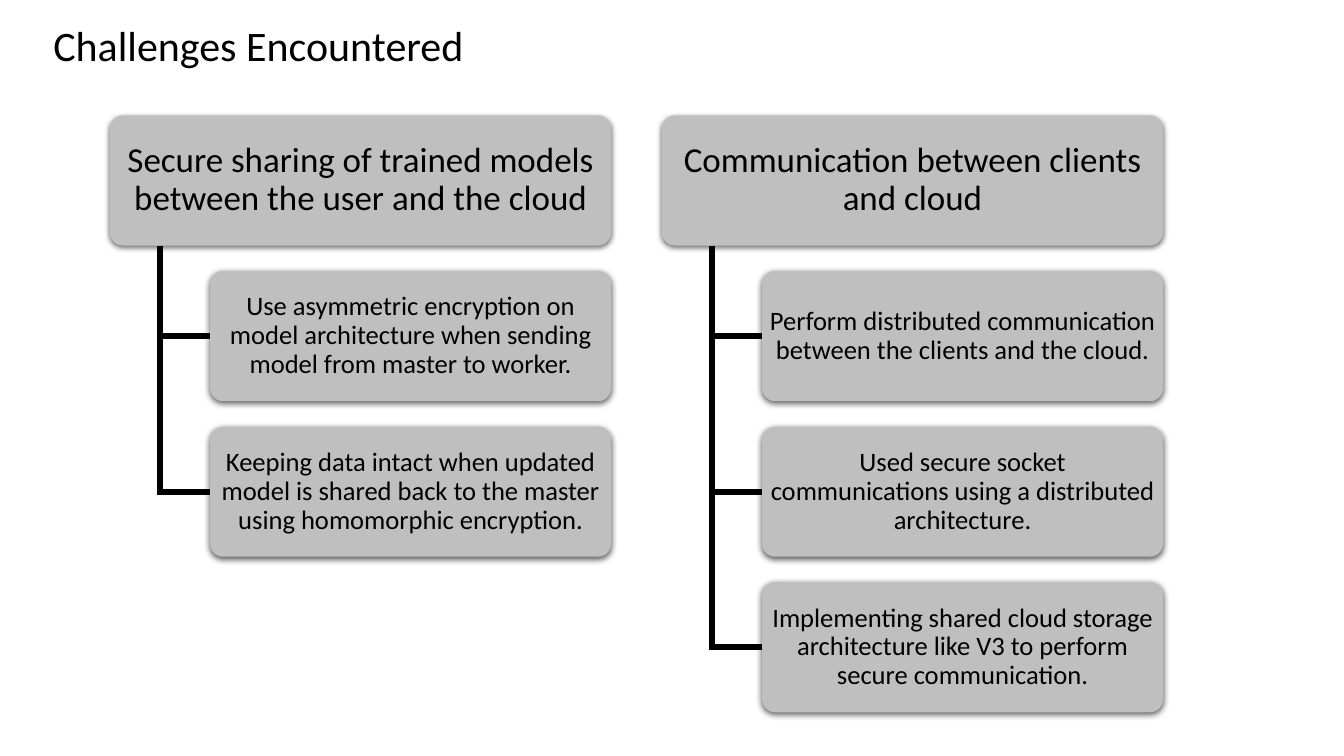
from lxml import etree
from pptx import Presentation
from pptx.dml.color import RGBColor
from pptx.enum.shapes import MSO_SHAPE
from pptx.enum.text import MSO_ANCHOR, MSO_AUTO_SIZE, PP_ALIGN
from pptx.oxml import parse_xml
from pptx.oxml.ns import nsdecls, qn
from pptx.util import Cm, Pt

ROUND = MSO_SHAPE.ROUNDED_RECTANGLE
MIDDLE = MSO_ANCHOR.MIDDLE
CENTER = PP_ALIGN.CENTER
GROW = MSO_AUTO_SIZE.SHAPE_TO_FIT_TEXT
BLACK = RGBColor(0x00, 0x00, 0x00)
GREY = RGBColor(0xBF, 0xBF, 0xBF)
FONT = "Calibri"

TITLE = "Challenges Encountered"
TREES = [
    ("Secure sharing of trained models between the user and the cloud", [
        "Use asymmetric encryption on model architecture when sending model from master to worker.",
        "Keeping data intact when updated model is shared back to the master using homomorphic encryption.",
    ]),
    ("Communication between clients and cloud", [
        "Perform distributed communication between the clients and the cloud.",
        "Used secure socket communications using a distributed architecture.",
        "Implementing shared cloud storage architecture like V3 to perform secure communication.",
    ]),
]

LEFT, TOP = Cm(2.77), Cm(2.91)
WIDTH, HEIGHT = Cm(12.63), Cm(3.28)
STEP, PITCH = Cm(3.92), Cm(13.91)
STEM = WIDTH // 10
INDENT = 2 * STEM


def write(frame, text, size):
    """Put one centred paragraph into a text frame."""
    frame.text = text
    para = frame.paragraphs[0]
    para.alignment = CENTER
    font = para.runs[0].font
    font.name, font.size = FONT, Pt(size)
    font.color.rgb = BLACK


def add_title(slide, left, top, width, height):
    """Add the slide title."""
    frame = slide.shapes.add_textbox(left, top, width, height).text_frame
    frame.word_wrap = False
    frame.auto_size = GROW
    write(frame, TITLE, 30)


def add_shade(shape):
    """Give a shape a soft shadow below it."""
    shape.shadow.inherit = False
    effects = shape.element.spPr.find(qn("a:effectLst"))
    effects.append(parse_xml(
        f'<a:outerShdw {nsdecls("a")} blurRad="{Pt(4.5)}" dist="{Pt(1.5)}"'
        ' dir="5400000" algn="ctr" rotWithShape="0"><a:srgbClr val="000000">'
        '<a:alpha val="63000"/></a:srgbClr></a:outerShdw>'))


def add_card(slide, left, top, width, text, size):
    """Add a grey rounded card with its text."""
    card = slide.shapes.add_shape(ROUND, left, top, width, HEIGHT)
    card.adjustments[0] = 0.1
    card.fill.solid()
    card.fill.fore_color.rgb = GREY
    card.line.fill.background()
    add_shade(card)
    frame = card.text_frame
    frame.word_wrap = True
    frame.vertical_anchor = MIDDLE
    frame.margin_left = frame.margin_right = Cm(0.1)
    frame.margin_top = frame.margin_bottom = Cm(0.08)
    write(frame, text, size)
    frame.paragraphs[0].line_spacing = 0.9


def add_elbow(slide, left, top, right, bottom):
    """Draw a branch that runs down and then right."""
    pen = slide.shapes.build_freeform(left, top)
    pen.add_line_segments([(left, bottom), (right, bottom)], close=False)
    elbow = pen.convert_to_shape()
    elbow.fill.background()
    elbow.line.color.rgb = BLACK
    elbow.line.width = Pt(4.5)
    etree.SubElement(elbow.line._get_or_add_ln(), qn("a:miter"), lim="800000")
    elbow.shadow.inherit = False


def add_tree(slide, left, top, head, items):
    """Add a heading card with its branches and item cards."""
    add_card(slide, left, top, WIDTH, head, 25)
    for row, item in enumerate(items, 1):
        y = top + row * STEP
        add_elbow(slide, left + STEM, top + HEIGHT, left + INDENT, y + HEIGHT // 2)
        add_card(slide, left + INDENT, y, WIDTH - INDENT, item, 19)


def main():
    """Build and save the slide."""
    deck = Presentation()
    deck.slide_width, deck.slide_height = Cm(33.87), Cm(19.05)
    slide = deck.slides.add_slide(deck.slide_layouts[6])
    add_title(slide, Cm(0.94), Cm(0.36), Cm(11.15), Cm(1.55))
    for col, (head, items) in enumerate(TREES):
        add_tree(slide, LEFT + col * PITCH, TOP, head, items)
    deck.save("out.pptx")


if __name__ == "__main__":
    main()
